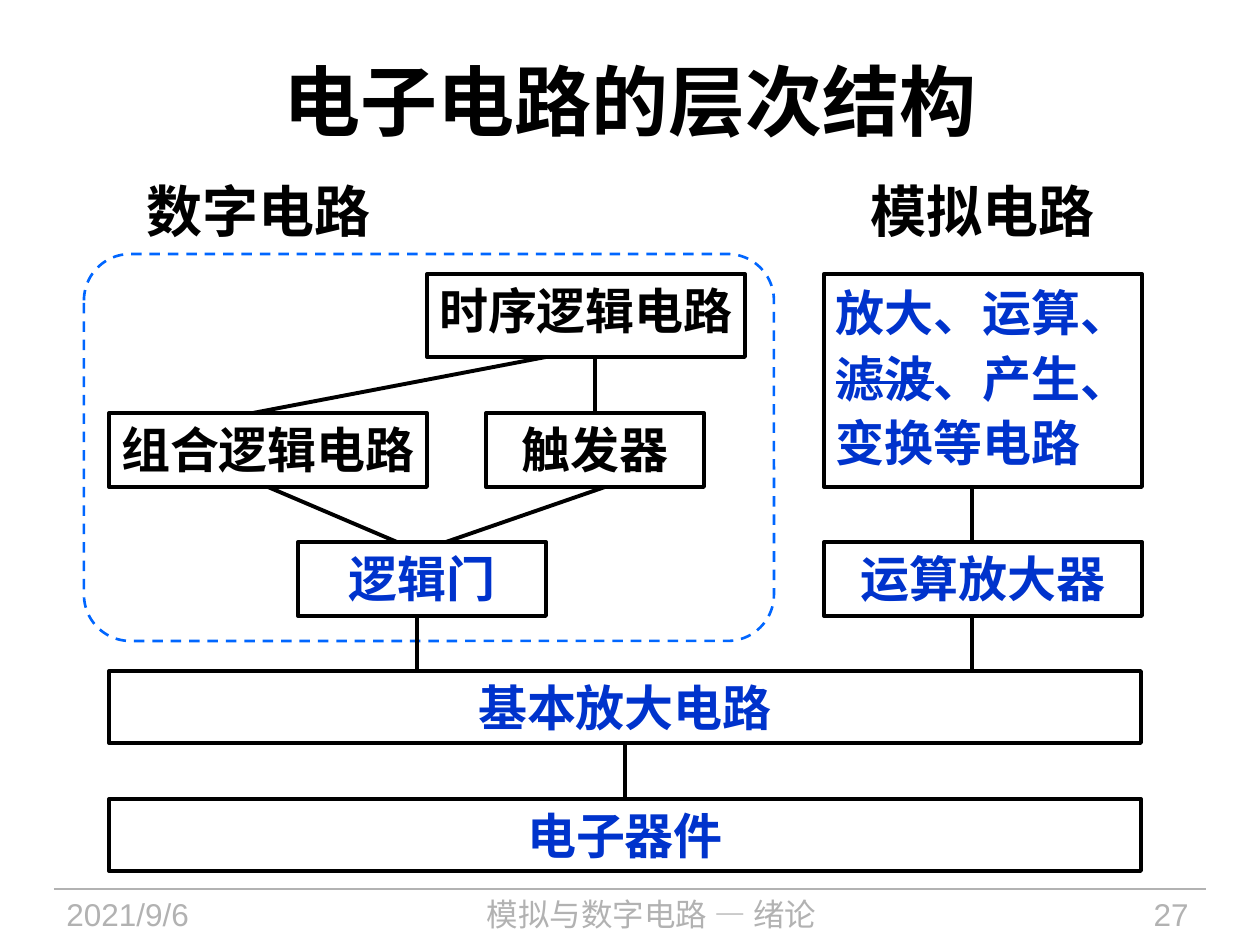
from lxml.etree import SubElement
from pptx import Presentation
from pptx.dml.color import RGBColor
from pptx.enum.dml import MSO_LINE
from pptx.enum.shapes import MSO_CONNECTOR, MSO_SHAPE
from pptx.enum.text import MSO_ANCHOR, MSO_AUTO_SIZE, PP_ALIGN
from pptx.oxml.ns import qn
from pptx.util import Emu, Pt

BLACK, BLUE, DASH_BLUE, GREY = "000000", "0033CC", "0066FF", "B2B2B2"
TOP, BOTTOM = 0, 2


def px(length):
    return Emu(round(length * 914400 / 126))


def color(value):
    return RGBColor.from_string(value)


class SlideBuilder:
    font = "Arial"

    def __init__(self, deck):
        self.page = deck.slides.add_slide(deck.slide_layouts[5])

    def add_span(self, para, text, size, ink, bold=True, strike=False):
        span = para.add_run()
        span.text = text
        span.font.name = self.font
        span.font.size = Pt(size)
        span.font.bold = bold
        span.font.color.rgb = color(ink)
        if strike:
            span.font._element.set("strike", "sngStrike")

    def style_line(self, line, ink, width):
        line.color.rgb = color(ink)
        line.width = Pt(width)

    def title(self, text, left, top, width, height):
        holder = self.page.shapes.title
        holder.left, holder.top = px(left), px(top)
        holder.width, holder.height = px(width), px(height)
        frame = holder.text_frame
        frame.auto_size = MSO_AUTO_SIZE.NONE
        frame.vertical_anchor = MSO_ANCHOR.MIDDLE
        para = frame.paragraphs[0]
        para.alignment = PP_ALIGN.CENTER
        self.add_span(para, text, 44, BLACK)

    def label(self, text, left, top, width, height, size, ink=BLACK,
              bold=True, align=PP_ALIGN.CENTER, wrap=True):
        box = self.page.shapes.add_textbox(px(left), px(top), px(width), px(height))
        box.text_frame.word_wrap = wrap
        para = box.text_frame.paragraphs[0]
        para.alignment = align
        self.add_span(para, text, size, ink, bold)

    def outline(self, left, top, width, height, ink=BLACK, weight=2.25,
                kind=MSO_SHAPE.RECTANGLE):
        box = self.page.shapes.add_shape(kind, px(left), px(top), px(width), px(height))
        box.shadow.inherit = False
        box.fill.background()
        self.style_line(box.line, ink, weight)
        return box

    def block(self, text, left, top, width, height, ink=BLUE):
        box = self.outline(left, top, width, height)
        frame = box.text_frame
        frame.word_wrap = True
        frame.margin_left = frame.margin_right = 0
        frame.vertical_anchor = MSO_ANCHOR.TOP
        para = frame.paragraphs[0]
        para.alignment = PP_ALIGN.CENTER
        self.add_span(para, text, 28, ink)
        return box

    def list_block(self, rows, left, top, width, height):
        """Each row is (line spacing, [(text, struck through), ...])."""
        frame = self.outline(left, top, width, height).text_frame
        frame.word_wrap = True
        frame.margin_left = px(12)
        frame.margin_right = frame.margin_top = frame.margin_bottom = 0
        frame.vertical_anchor = MSO_ANCHOR.MIDDLE
        for index, (spacing, spans) in enumerate(rows):
            para = frame.add_paragraph() if index else frame.paragraphs[0]
            para.alignment = PP_ALIGN.LEFT
            para.line_spacing = spacing
            for text, strike in spans:
                self.add_span(para, text, 28, BLUE, strike=strike)

    def link(self, x1, y1, x2, y2, ink=BLACK, weight=2.25, begin=None, end=None):
        line = self.page.shapes.add_connector(
            MSO_CONNECTOR.STRAIGHT, px(x1), px(y1), px(x2), px(y2))
        self.style_line(line.line, ink, weight)
        SubElement(line._element.spPr, qn("a:effectLst"))
        if begin is not None:
            line.begin_connect(begin, BOTTOM)
        if end is not None:
            line.end_connect(end, TOP)


def main():
    deck = Presentation()
    deck.slide_width, deck.slide_height = px(1260), px(945)
    slide = SlideBuilder(deck)

    # Footer
    slide.link(54, 889, 1206, 889, GREY, 0.75)
    for text, left, width, align in (
            ("2021/9/6", 54, 237, PP_ALIGN.LEFT),
            ("模拟与数字电路 — 绪论", 314, 675, PP_ALIGN.CENTER),
            ("27", 1033, 168, PP_ALIGN.RIGHT)):
        slide.label(text, left, 889, width, 55, 18, GREY, False, align)

    # Headings
    slide.title("电子电路的层次结构", 63, 21, 1134, 158)
    slide.label("模拟电路", 824, 170, 318, 79, 32, wrap=False)
    slide.label("数字电路", 118, 170, 282, 79, 32, wrap=False)

    # Analog column
    slide.list_block([
        (0.9, [("放大、运算、", False)]),
        (1.1, [("滤波", True), ("、产生、", False)]),
        (1.1, [("变换等电路", False)]),
    ], 824, 274, 318, 213)
    slide.block("运算放大器", 824, 542, 318, 74)

    # Shared base layers
    amplifier = slide.block("基本放大电路", 109, 671, 1032, 72)
    devices = slide.block("电子器件", 109, 799, 1032, 72)

    # Digital group
    slide.block("时序逻辑电路", 427, 274, 318, 83, BLACK)
    combinational = slide.block("组合逻辑电路", 109, 413, 318, 74, BLACK)
    flip_flop = slide.block("触发器", 486, 413, 218, 74, BLACK)
    slide.block("逻辑门", 298, 542, 248, 74)
    group = slide.outline(84, 254, 690, 387, DASH_BLUE, 1.5,
                          MSO_SHAPE.ROUNDED_RECTANGLE)
    group.adjustments[0] = 0.12
    group.line.dash_style = MSO_LINE.DASH

    # Links between layers
    slide.link(546, 357, 253, 413)
    slide.link(595, 357, 595, 413, end=flip_flop)
    slide.link(268, 487, 397, 542, begin=combinational)
    slide.link(605, 487, 446, 542)
    slide.link(417, 616, 417, 671)
    for top, bottom in ((487, 542), (616, 671)):
        slide.link(972, top, 972, bottom)
    slide.link(625, 743, 625, 799, begin=amplifier, end=devices)

    deck.save("out.pptx")


if __name__ == "__main__":
    main()
